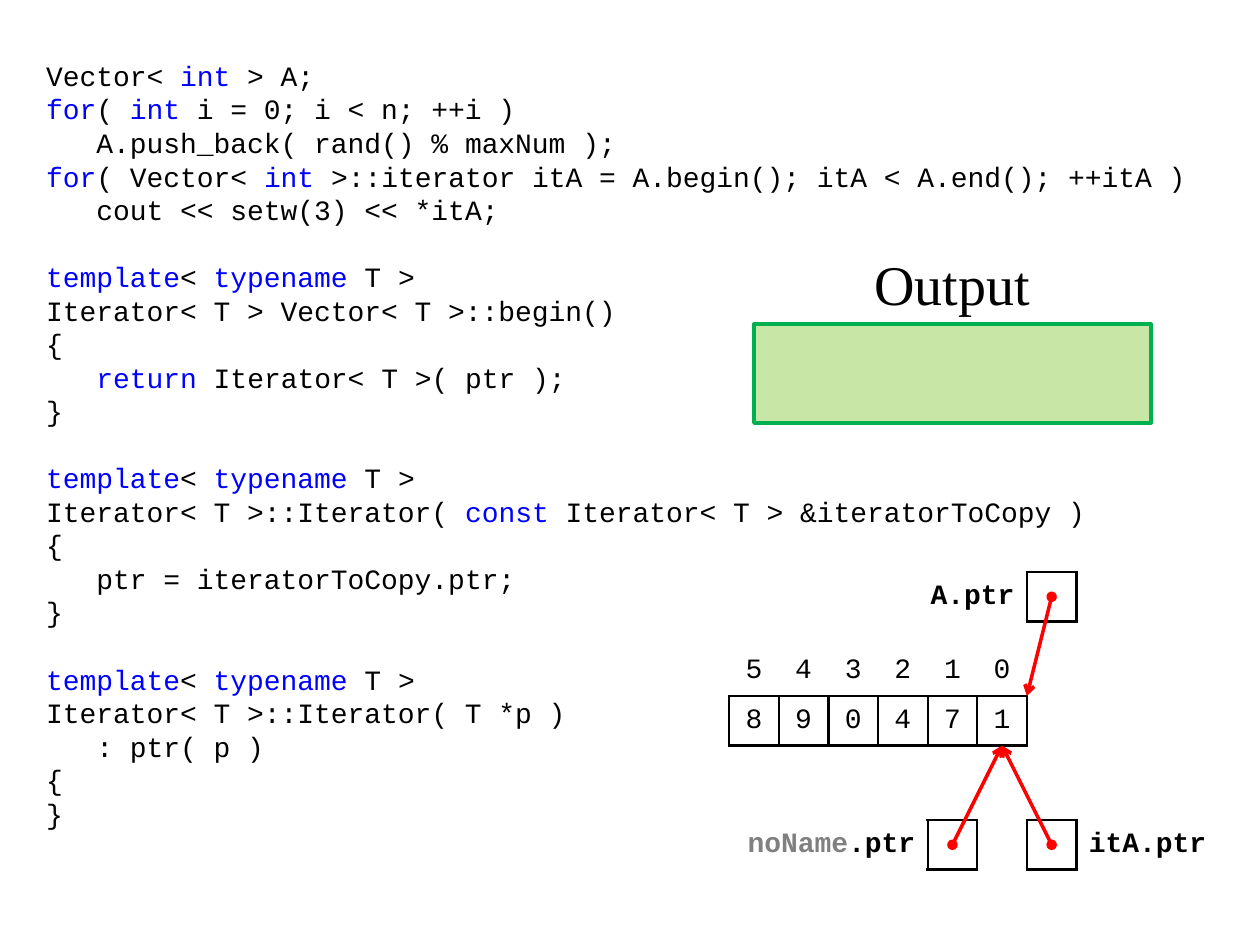
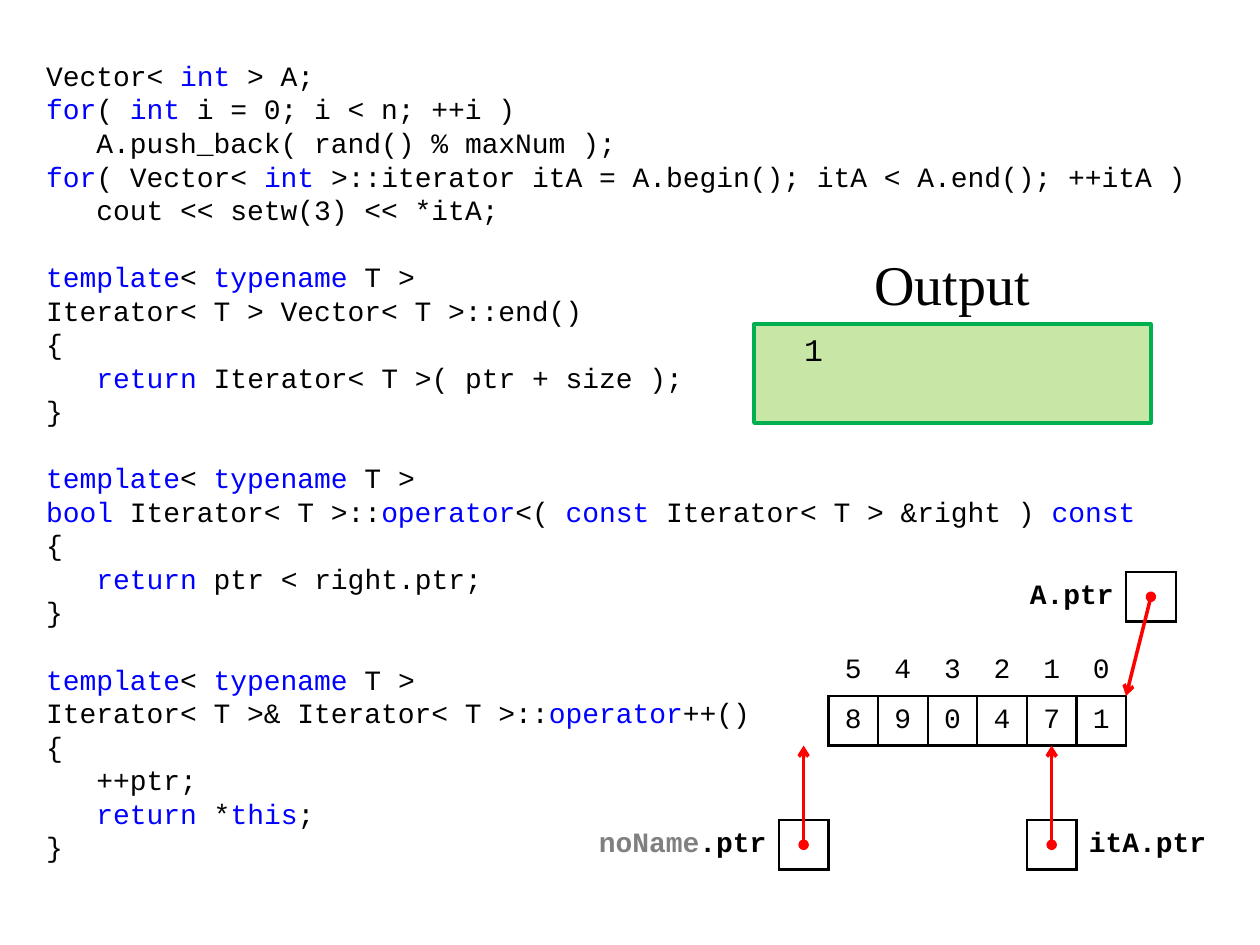
"""Build two slides tracing vector iterators through code, memory and output."""
import itertools

import lxml.etree
import pptx
import pptx.dml.color
import pptx.enum.shapes
import pptx.enum.text
import pptx.oxml.ns
import pptx.util

PX = 3600
CELL = 100
COLORS = {
    "text": "000000",
    "keyword": "0000FF",
    "muted": "808080",
    "arrow": "FF0000",
    "output_fill": "92D050",
    "output_line": "00B050",
}
CODE_FONT = "Courier New"
CHARACTER_WIDTH = 0.6
KEYWORDS = {"int", "for", "template", "typename", "return", "const", "bool", "operator", "this"}
NO_TABLE_STYLE = "{2D5ABB26-0587-4C30-8999-92F81FD0307C}"
qn = pptx.oxml.ns.qn

ARRAY_TOP = 1303
A_TOP = 1153
ITERATOR_TOP = 1653
INDICES = "543210"
VALUES = "890471"

MAIN_CODE = """\
Vector< int > A;
for( int i = 0; i < n; ++i )
   A.push_back( rand() % maxNum );
for( Vector< int >::iterator itA = A.begin(); itA < A.end(); ++itA )
   cout << setw(3) << *itA;
"""

BEGIN_CODE = """
template< typename T >
Iterator< T > Vector< T >::begin()
{
   return Iterator< T >( ptr );
}

template< typename T >
Iterator< T >::Iterator( const Iterator< T > &iteratorToCopy )
{
   ptr = iteratorToCopy.ptr;
}

template< typename T >
Iterator< T >::Iterator( T *p )
   : ptr( p )
{
}"""

END_CODE = """
template< typename T >
Iterator< T > Vector< T >::end()
{
   return Iterator< T >( ptr + size );
}

template< typename T >
bool Iterator< T >::operator<( const Iterator< T > &right ) const
{
   return ptr < right.ptr;
}

template< typename T >
Iterator< T >& Iterator< T >::operator++()
{
   ++ptr;
   return *this;
}"""

STEPS = [
    {"code": MAIN_CODE + BEGIN_CODE, "code_height": 1600, "array_left": 1470,
     "no_name_left": 1470, "no_name_target": 2020, "it_a_target": 2020, "output": ""},
    {"code": MAIN_CODE + END_CODE, "code_height": 1650, "array_left": 1670,
     "no_name_left": 1170, "no_name_target": 1620, "it_a_target": 2120, "output": "1"},
]


def add_run(paragraph, text, color="text", size=16, bold=False, font=CODE_FONT):
    run = paragraph.add_run()
    run.text = text
    run.font.name = font
    run.font.size = pptx.util.Pt(size)
    run.font.bold = bold
    run.font.color.rgb = pptx.dml.color.RGBColor.from_string(COLORS[color])


def add_grid(slide, left, top, widths, rows, boxed):
    frame = slide.shapes.add_table(
        rows, len(widths), left * PX, top * PX, sum(widths) * PX, rows * CELL * PX)
    table = frame.table
    table.first_row = table.horz_banding = False
    table._tbl.tblPr.find(qn("a:tableStyleId")).text = NO_TABLE_STYLE
    for column, width in zip(table.columns, widths):
        column.width = width * PX
    for row, column in itertools.product(range(rows), range(len(widths))):
        cell = table.cell(row, column)
        cell.vertical_anchor = pptx.enum.text.MSO_ANCHOR.MIDDLE
        cell.margin_top = cell.margin_bottom = 10 * PX
        cell.margin_left = cell.margin_right = (15 if widths[column] == CELL else 25) * PX
        if (row, column) in boxed:
            for side in ("lnL", "lnR", "lnT", "lnB"):
                border = lxml.etree.SubElement(
                    cell._tc.get_or_add_tcPr(), qn("a:" + side), w=str(pptx.util.Pt(1.5)))
                fill = lxml.etree.SubElement(border, qn("a:solidFill"))
                lxml.etree.SubElement(fill, qn("a:srgbClr"), val=COLORS["text"])
        cell.fill.background()
    return table


presentation = pptx.Presentation()
presentation.slide_width = 2540 * PX
presentation.slide_height = 1905 * PX

for step in STEPS:
    slide = presentation.slides.add_slide(presentation.slide_layouts[6])

    code_box = slide.shapes.add_textbox(68 * PX, 100 * PX, 2400 * PX, step["code_height"] * PX)
    code_frame = code_box.text_frame
    code_frame.word_wrap = True
    code_frame.margin_top = 18 * PX
    for number, line in enumerate(step["code"].split("\n")):
        paragraph = code_frame.paragraphs[0] if number == 0 else code_frame.add_paragraph()
        paragraph.line_spacing = pptx.util.Pt(19.17)
        statement = line.lstrip()
        indent = pptx.util.Pt((len(line) - len(statement)) * 16 * CHARACTER_WIDTH)
        paragraph._p.get_or_add_pPr().set("marL", str(indent))
        words = ["".join(group) for _, group in itertools.groupby(statement, str.isalpha)]
        for is_keyword, group in itertools.groupby(words, lambda word: word in KEYWORDS):
            add_run(paragraph, "".join(group), "keyword" if is_keyword else "text")

    array_left = step["array_left"]
    array_right = array_left + len(VALUES) * CELL
    array_table = add_grid(slide, array_left, ARRAY_TOP, [CELL] * len(VALUES), 2,
                           {(1, column) for column in range(len(VALUES))})
    for row, digits in enumerate((INDICES, VALUES)):
        for column, digit in enumerate(digits):
            paragraph = array_table.cell(row, column).text_frame.paragraphs[0]
            paragraph.alignment = pptx.enum.text.PP_ALIGN.CENTER
            add_run(paragraph, digit)

    array_bottom = ARRAY_TOP + 2 * CELL
    pointers = [
        ("A", array_left + 350, A_TOP, [250, CELL], array_right, ARRAY_TOP + CELL),
        ("noName", step["no_name_left"], ITERATOR_TOP, [400, CELL],
         step["no_name_target"], array_bottom),
        ("itA", 2070, ITERATOR_TOP, [CELL, 300], step["it_a_target"], array_bottom),
    ]
    for owner, left, top, widths, target_x, target_y in pointers:
        slot = widths.index(CELL)
        label = 1 - slot
        pointer_table = add_grid(slide, left, top, widths, 1, {(0, slot)})
        paragraph = pointer_table.cell(0, label).text_frame.paragraphs[0]
        if label == 0:
            paragraph.alignment = pptx.enum.text.PP_ALIGN.RIGHT
        add_run(paragraph, owner, "muted" if owner == "noName" else "text", bold=True)
        add_run(paragraph, ".ptr", bold=True)

        start_x = left + sum(widths[:slot]) + CELL // 2
        arrow = slide.shapes.add_connector(
            pptx.enum.shapes.MSO_CONNECTOR.STRAIGHT,
            start_x * PX, (top + CELL // 2) * PX, target_x * PX, target_y * PX)
        arrow.line.width = pptx.util.Pt(2)
        arrow.line.color.rgb = pptx.dml.color.RGBColor.from_string(COLORS["arrow"])
        arrow_line = arrow.line._get_or_add_ln()
        lxml.etree.SubElement(arrow_line, qn("a:headEnd"), type="oval")
        lxml.etree.SubElement(arrow_line, qn("a:tailEnd"), type="arrow")
        lxml.etree.SubElement(arrow._element.spPr, qn("a:effectLst"))

    heading = slide.shapes.add_textbox(1720 * PX, 503 * PX, 400 * PX, 150 * PX)
    heading.text_frame.word_wrap = True
    heading.text_frame.margin_top = 0
    paragraph = heading.text_frame.paragraphs[0]
    paragraph.alignment = pptx.enum.text.PP_ALIGN.CENTER
    add_run(paragraph, "Output", size=32, font="Times New Roman")

    output_box = slide.shapes.add_shape(
        pptx.enum.shapes.MSO_SHAPE.RECTANGLE, 1520 * PX, 653 * PX, 800 * PX, 200 * PX)
    output_box.shadow.inherit = False
    output_box.fill.solid()
    output_box.fill.fore_color.rgb = pptx.dml.color.RGBColor.from_string(COLORS["output_fill"])
    fill_color = output_box._element.spPr.find(qn("a:solidFill")).find(qn("a:srgbClr"))
    lxml.etree.SubElement(fill_color, qn("a:alpha"), val="50000")
    output_box.line.width = pptx.util.Pt(2)
    output_box.line.color.rgb = pptx.dml.color.RGBColor.from_string(COLORS["output_line"])
    output_box.text_frame.vertical_anchor = pptx.enum.text.MSO_ANCHOR.TOP
    if step["output"]:
        paragraph = output_box.text_frame.paragraphs[0]
        paragraph.alignment = pptx.enum.text.PP_ALIGN.LEFT
        indent = pptx.util.Pt(2 * 18 * CHARACTER_WIDTH)
        paragraph._p.get_or_add_pPr().set("marL", str(indent))
        add_run(paragraph, step["output"], size=18)

presentation.save("out.pptx")
